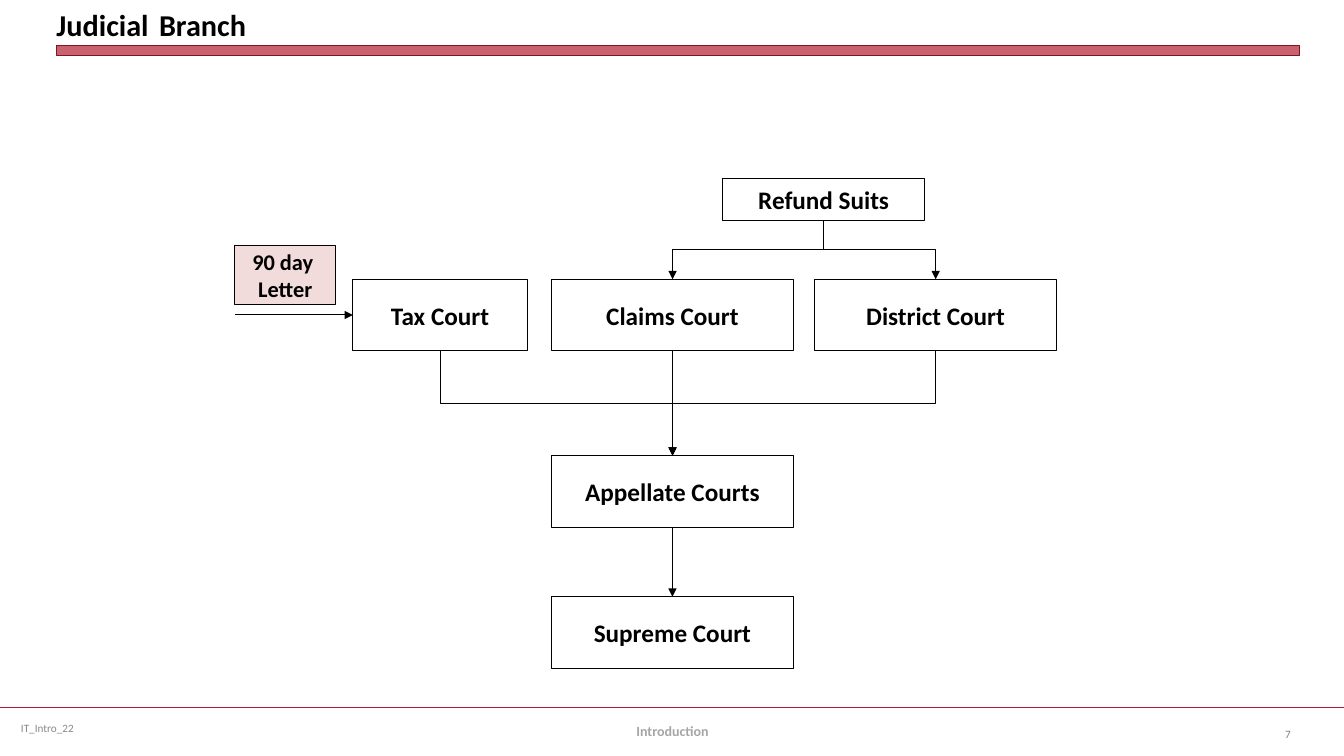
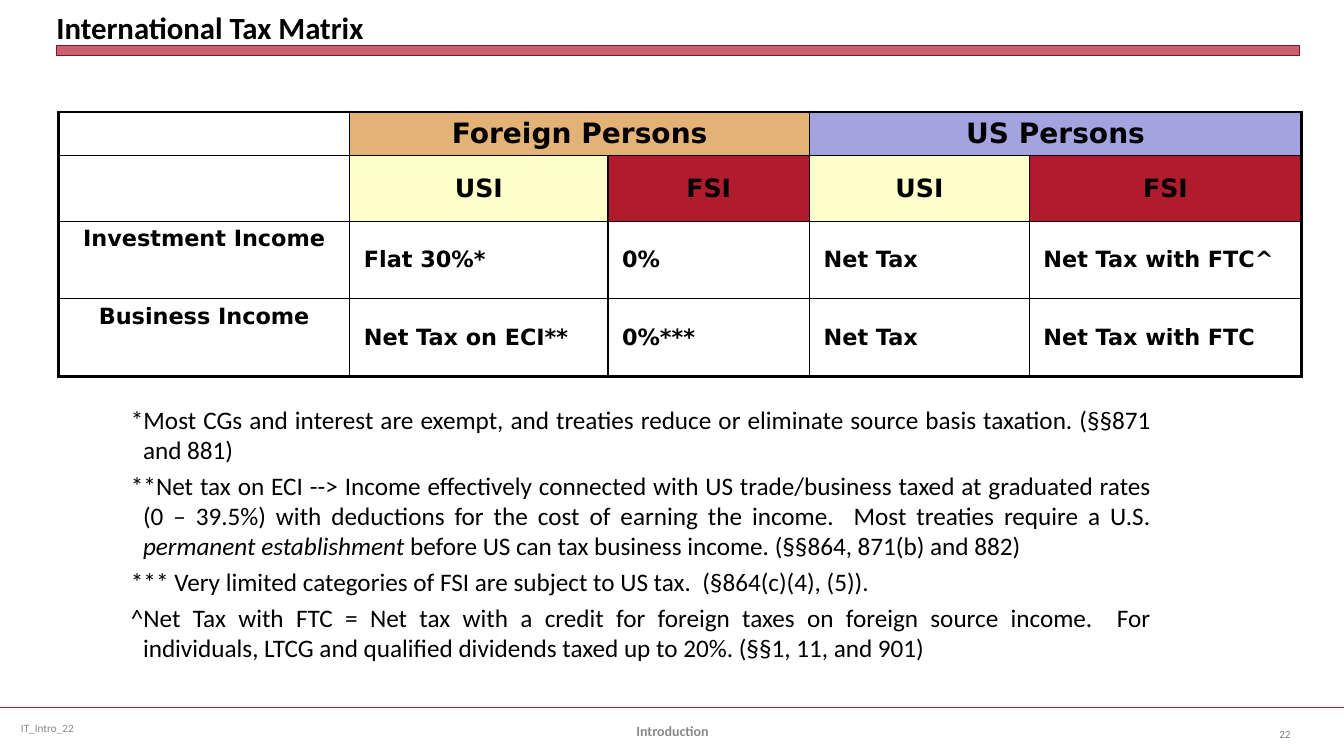
from dataclasses import dataclass

from lxml import etree
from pptx import Presentation
from pptx.dml.color import RGBColor
from pptx.enum.shapes import MSO_CONNECTOR, MSO_SHAPE
from pptx.enum.text import MSO_ANCHOR, PP_ALIGN
from pptx.oxml.ns import qn
from pptx.util import Emu, Pt

STRAIGHT, ELBOW = MSO_CONNECTOR.STRAIGHT, MSO_CONNECTOR.ELBOW
RECTANGLE = MSO_SHAPE.RECTANGLE
TOP, MIDDLE, BOTTOM = MSO_ANCHOR.TOP, MSO_ANCHOR.MIDDLE, MSO_ANCHOR.BOTTOM
LEFT, CENTER, RIGHT, JUSTIFY = PP_ALIGN.LEFT, PP_ALIGN.CENTER, PP_ALIGN.RIGHT, PP_ALIGN.JUSTIFY
SIDE_TOP, SIDE_LEFT, SIDE_BOTTOM = 0, 1, 2

EMU_PER_PX = 9144
SLIDE_WIDTH, SLIDE_HEIGHT = 1333, 750
BODY_FONT, TABLE_FONT = "Calibri", "DejaVu Sans"
BLACK, CRIMSON, DARK_CRIMSON = "000000", "B01C2E", "821522"
GREY, LIGHT_GREY, NUMBER_GREY = "898989", "A6A6A6", "808080"
PINK, ORANGE, LILAC, YELLOW = "F2DCDB", "E3B276", "A3A3E0", "FFFFCC"


@dataclass(frozen=True)
class Span:
    text: str
    size: float | None = None
    italic: bool = False


@dataclass(frozen=True)
class Court:
    name: str
    left: int
    top: int
    width: int = 240
    height: int = 71


@dataclass(frozen=True)
class MatrixCell:
    text: str = ""
    fill: str | None = None
    size: int = 16
    align: PP_ALIGN = LEFT
    anchor: MSO_ANCHOR = MIDDLE
    columns: int = 1


COURTS = [
    Court("Appellate Courts", 547, 452),
    Court("Supreme Court", 547, 592),
    Court("District Court", 808, 277),
    Court("Tax Court", 350, 277, 173),
    Court("Claims Court", 547, 277),
    Court("Refund Suits", 717, 177, 200, 42),
]
ELBOWS = [
    ("Refund Suits", "Claims Court"),
    ("Refund Suits", "District Court"),
    ("Tax Court", "Appellate Courts"),
    ("District Court", "Appellate Courts"),
]
STRAIGHTS = [("Claims Court", "Appellate Courts"), ("Appellate Courts", "Supreme Court")]

COLUMN_WIDTHS = [289, 256, 200, 218, 270]
ROW_HEIGHTS = [43, 65, 77, 77]
SOURCES = [
    MatrixCell("USI", YELLOW, 18, CENTER),
    MatrixCell("FSI", CRIMSON, 18, CENTER),
]


def income_row(name: str, *outcomes: str) -> list[MatrixCell]:
    return [MatrixCell(name, align=CENTER, anchor=TOP), *map(MatrixCell, outcomes)]


MATRIX = [
    [
        MatrixCell(),
        MatrixCell("Foreign Persons", ORANGE, 20, CENTER, columns=2),
        MatrixCell("US Persons", LILAC, 20, CENTER, columns=2),
    ],
    [MatrixCell(), *SOURCES, *SOURCES],
    income_row("Investment Income", "Flat 30%*", "0%", "Net Tax", "Net Tax with FTC^"),
    income_row("Business Income", "Net Tax on ECI**", "0%***", "Net Tax", "Net Tax with FTC"),
]
NOTES = [
    [Span("*Most CGs and interest are exempt, and treaties reduce or eliminate source basis "
          "taxation. (§§871 and 881)")],
    [
        Span("**Net tax on ECI --> Income effectively connected with US trade/business taxed at "
             "graduated rates (0 – 39.5%) with deductions for the cost of earning the income.  "
             "Most treaties require a U.S. "),
        Span("permanent establishment", italic=True),
        Span(" before US can tax business income. (§§864, 871(b) and 882)"),
    ],
    [Span("*** Very limited categories of FSI are subject to US tax.  (§864(c)(4), (5)).")],
    [Span("^Net Tax with FTC = Net tax with a credit for foreign taxes on foreign source income.  "
          "For individuals, LTCG and qualified dividends taxed up to 20%. (§§1, 11, and 901)")],
]


def px(length: int) -> Emu:
    return Emu(length * EMU_PER_PX)


def color(value: str) -> RGBColor:
    return RGBColor.from_string(value)


def write(frame, paragraphs, *, size, font=BODY_FONT, fill=BLACK, bold=False,
          align=LEFT, hanging=0, gap=0):
    for index, spans in enumerate(paragraphs):
        para = frame.add_paragraph() if index else frame.paragraphs[0]
        para.alignment = align
        if hanging:
            properties = para._p.get_or_add_pPr()
            properties.set("marL", str(px(hanging)))
            properties.set("indent", str(px(-hanging)))
        if index and gap:
            para.space_before = Pt(gap)
        for span in spans:
            run = para.add_run()
            run.text = span.text
            run.font.name = font
            run.font.size = Pt(span.size or size)
            run.font.bold = bold
            run.font.italic = span.italic
            run.font.color.rgb = color(fill)


def add_text(page, left, top, width, height, paragraphs, *, anchor=MIDDLE, inset=True, **style):
    box = page.shapes.add_textbox(px(left), px(top), px(width), px(height))
    frame = box.text_frame
    frame.word_wrap = True
    frame.vertical_anchor = anchor
    if not inset:
        frame.margin_left = frame.margin_right = frame.margin_top = frame.margin_bottom = 0
    write(frame, paragraphs, **style)


def add_box(page, left, top, width, height, *, fill=None, line=BLACK, weight=0.75):
    box = page.shapes.add_shape(RECTANGLE, px(left), px(top), px(width), px(height))
    box.shadow.inherit = False
    if fill:
        box.fill.solid()
        box.fill.fore_color.rgb = color(fill)
    else:
        box.fill.background()
    box.line.color.rgb = color(line)
    box.line.width = Pt(weight)
    return box


def add_label_box(page, left, top, width, height, lines, *, size, fill=None, wrap=True):
    box = add_box(page, left, top, width, height, fill=fill)
    box.text_frame.word_wrap = wrap
    box.text_frame.vertical_anchor = MIDDLE
    write(box.text_frame, [[Span(line)] for line in lines], size=size, bold=True, align=CENTER)
    return box


def add_line(page, kind, start_x, start_y, end_x, end_y, *, line=BLACK, weight=0.75, arrow=True):
    connector = page.shapes.add_connector(kind, start_x, start_y, end_x, end_y)
    connector.line.color.rgb = color(line)
    connector.line.width = Pt(weight)
    if arrow:
        outline = connector.line._get_or_add_ln()
        etree.SubElement(outline, qn("a:tailEnd"), type="triangle")
    etree.SubElement(connector._element.spPr, qn("a:effectLst"))
    return connector


def add_vertical_elbow(page, source, target):
    start_x, start_y = source.left + source.width // 2, source.top + source.height
    end_x, end_y = target.left + target.width // 2, target.top
    drop, reach = end_y - start_y, abs(end_x - start_x)
    left = (start_x + end_x - drop) // 2
    top = (start_y + end_y - reach) // 2
    connector = add_line(page, ELBOW, left, top, left + drop, top + reach)
    transform = connector._element.spPr.find(qn("a:xfrm"))
    if end_x < start_x:
        transform.set("rot", "5400000")
    else:
        transform.set("rot", "16200000")
        transform.set("flipH", "1")


def add_page(deck, title, number, footer_color, title_size):
    page = deck.slides.add_slide(deck.slide_layouts[6])
    add_line(page, STRAIGHT, 0, px(702), px(SLIDE_WIDTH), px(702),
             line=CRIMSON, weight=1.25, arrow=False)
    add_text(page, 11, 702, 344, 40, [[Span("IT_Intro_22")]], size=8, fill=GREY)
    band = add_box(page, 56, 45, 1233, 10, fill=CRIMSON, line=DARK_CRIMSON, weight=0)
    band_color = band._element.spPr.find(qn("a:solidFill"))[0]
    etree.SubElement(band_color, qn("a:alpha"), val="69000")
    add_text(page, 56, 5, 1233, 40, [title], anchor=BOTTOM, inset=False,
             size=title_size, bold=True)
    add_text(page, 456, 705, 422, 40, [[Span("Introduction")]], size=10, fill=footer_color,
             bold=True, align=CENTER)
    add_text(page, 1223, 708, 67, 40, [[Span(str(number))]], size=8, fill=NUMBER_GREY,
             align=RIGHT)
    return page


def add_court_chart(page):
    boxes = {
        court.name: add_label_box(page, court.left, court.top, court.width, court.height,
                                  [court.name], size=18)
        for court in COURTS
    }
    for source, target in ELBOWS:
        add_vertical_elbow(page, boxes[source], boxes[target])
    for source, target in STRAIGHTS:
        arrow = add_line(page, STRAIGHT, 0, 0, 0, 0)
        arrow.begin_connect(boxes[source], SIDE_BOTTOM)
        arrow.end_connect(boxes[target], SIDE_TOP)
    tax_court = boxes["Tax Court"]
    middle = tax_court.top + tax_court.height // 2
    arrow = add_line(page, STRAIGHT, px(233), middle, tax_court.left, middle)
    arrow.end_connect(tax_court, SIDE_LEFT)
    add_label_box(page, 233, 244, 100, 58, ["90 day ", "Letter"], size=16, fill=PINK, wrap=False)


def set_border(cell, side, weight):
    edge = etree.SubElement(cell._tc.get_or_add_tcPr(), qn(f"a:ln{side}"), w=str(Pt(weight)))
    fill = etree.SubElement(edge, qn("a:solidFill"))
    etree.SubElement(fill, qn("a:srgbClr"), val=BLACK)


def add_matrix(page, left, top):
    row_count, column_count = len(ROW_HEIGHTS), len(COLUMN_WIDTHS)
    table = page.shapes.add_table(row_count, column_count, px(left), px(top),
                                  px(sum(COLUMN_WIDTHS)), px(sum(ROW_HEIGHTS))).table
    table.first_row = table.horz_banding = False
    for column, width in zip(table.columns, COLUMN_WIDTHS):
        column.width = px(width)
    for row, height in zip(table.rows, ROW_HEIGHTS):
        row.height = px(height)
    for row, entries in enumerate(MATRIX):
        column = 0
        for entry in entries:
            last = column + entry.columns - 1
            cell = table.cell(row, column)
            if entry.columns > 1:
                cell.merge(table.cell(row, last))
            outer = {"L": column == 0, "R": last == column_count - 1,
                     "T": row == 0, "B": row == row_count - 1}
            for covered in range(column, last + 1):
                for side, is_outer in outer.items():
                    set_border(table.cell(row, covered), side, 2.25 if is_outer else 1)
            if entry.fill:
                cell.fill.solid()
                cell.fill.fore_color.rgb = color(entry.fill)
            else:
                cell.fill.background()
            cell.margin_left = cell.margin_right = px(14)
            cell.margin_top = cell.margin_bottom = px(5)
            cell.vertical_anchor = entry.anchor
            if entry.text:
                write(cell.text_frame, [[Span(entry.text)]], size=entry.size, font=TABLE_FONT,
                      bold=True, align=entry.align)
            column = last + 1


def main():
    deck = Presentation()
    deck.slide_width, deck.slide_height = px(SLIDE_WIDTH), px(SLIDE_HEIGHT)

    title = [Span("Judicial"), Span(" ", size=32.4), Span("Branch")]
    add_court_chart(add_page(deck, title, 7, LIGHT_GREY, 21.6))

    page = add_page(deck, [Span("International Tax Matrix")], 22, GREY, 22)
    add_matrix(page, 58, 111)
    add_text(page, 120, 396, 1032, 285, NOTES, anchor=TOP, size=18, align=JUSTIFY,
             hanging=12, gap=4)
    deck.save("out.pptx")


if __name__ == "__main__":
    main()
